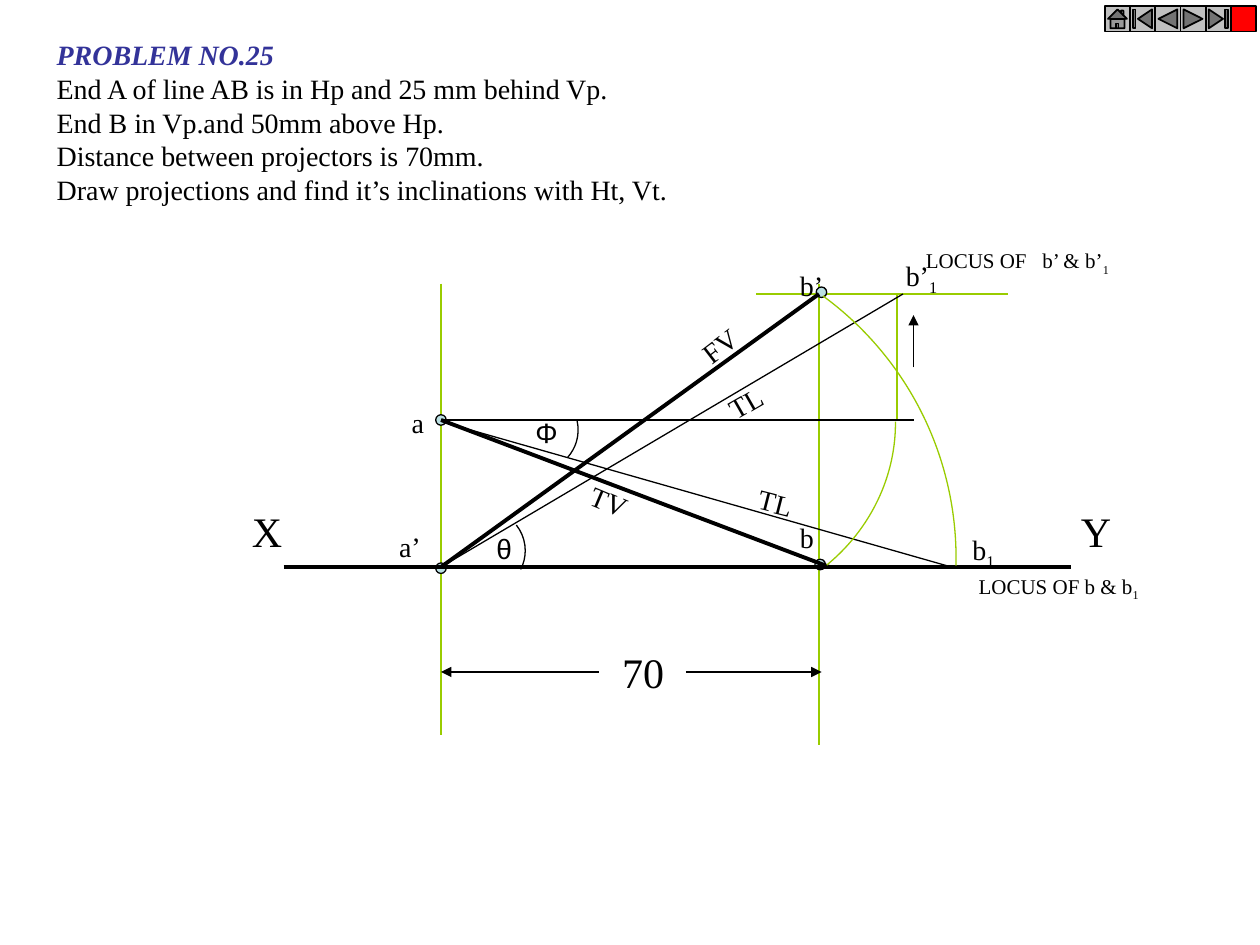
from dataclasses import dataclass

from lxml.etree import SubElement
from pptx import Presentation
from pptx.dml.color import RGBColor
from pptx.enum.shapes import MSO_CONNECTOR, MSO_SHAPE
from pptx.enum.text import MSO_ANCHOR, MSO_AUTO_SIZE, PP_ALIGN
from pptx.oxml.ns import qn
from pptx.util import Pt


@dataclass(frozen=True)
class Theme:
    ink: RGBColor = RGBColor(0, 0, 0)
    head: RGBColor = RGBColor(0x33, 0x33, 0x99)
    guide: RGBColor = RGBColor(0x99, 0xCC, 0)
    dot: RGBColor = RGBColor(0xBB, 0xE0, 0xE3)
    key: RGBColor = RGBColor(0xC0, 0xC0, 0xC0)
    stop: RGBColor = RGBColor(0xFF, 0, 0)
    serif: str = "Times New Roman"
    sans: str = "Arial"
    big: float = 24
    mid: float = 16
    small: float = 12
    thin: float = 0.75
    edge: float = 1
    bold: float = 2.25


THEME = Theme()
TASK = (
    "End A of line AB is in Hp and 25 mm behind Vp.",
    "End B in Vp.and 50mm above Hp.",
    "Distance between projectors is 70mm.",
    "Draw projections and find it’s inclinations with Ht, Vt.",
)
AX, BX = 126, 342
XY, TOP, MID = 192, 36, 108
DIM = 252


def style(run, size, face=THEME.serif, color=THEME.ink):
    run.font.size = Pt(size)
    run.font.name = face
    run.font.color.rgb = color


def stroke(item, color, width):
    item.line.color.rgb = color
    item.line.width = Pt(width)


def line(shapes, box, ends, color=THEME.ink, width=THEME.thin, arrow=False):
    x, y = box[:2]
    x1, y1, x2, y2 = ends
    item = shapes.add_connector(
        MSO_CONNECTOR.STRAIGHT, Pt(x + x1), Pt(y + y1), Pt(x + x2), Pt(y + y2)
    )
    stroke(item, color, width)
    if arrow:
        SubElement(item.line._get_or_add_ln(), qn("a:tailEnd"), type="triangle")
    SubElement(item._element.spPr, qn("a:effectLst"))


def shape(shapes, kind, box, spot, fill=None, color=THEME.ink, width=THEME.thin):
    left, top, wide, high = spot
    item = shapes.add_shape(
        kind, Pt(box[0] + left), Pt(box[1] + top), Pt(wide), Pt(high)
    )
    item.shadow.inherit = False
    if fill is None:
        item.fill.background()
    else:
        item.fill.solid()
        item.fill.fore_color.rgb = fill
    stroke(item, color, width)
    return item


def arc(shapes, box, spot, start, end, turn=0, color=THEME.ink):
    item = shape(shapes, MSO_SHAPE.ARC, box, spot, color=color)
    item.adjustments[0] = start * 0.6
    item.adjustments[1] = end * 0.6
    item.rotation = turn


def label(shapes, box, spot, text, size=THEME.mid, sub="", turn=0, face=THEME.serif):
    left, top, wide, high = spot
    item = shapes.add_textbox(
        Pt(box[0] + left), Pt(box[1] + top), Pt(wide), Pt(high)
    )
    item.rotation = turn
    item.text_frame.word_wrap = bool(turn)
    item.text_frame.auto_size = MSO_AUTO_SIZE.SHAPE_TO_FIT_TEXT
    item.text_frame.text = text
    para = item.text_frame.paragraphs[0]
    if sub:
        low = para.add_run()
        low.text = sub
        low._r.get_or_add_rPr().set("baseline", "-25000")
    for run in para.runs:
        style(run, size, face)


def fill_holder(holder, box, text, color, strong=False):
    holder.left, holder.top, holder.width, holder.height = map(Pt, box)
    frame = holder.text_frame
    frame.text = text
    frame.word_wrap = True
    frame.auto_size = MSO_AUTO_SIZE.NONE
    frame.vertical_anchor = MSO_ANCHOR.TOP
    for para in frame.paragraphs:
        para.alignment = PP_ALIGN.LEFT
        para.space_before = Pt(0)
        props = para._p.get_or_add_pPr()
        props.set("marL", "0")
        props.set("indent", "0")
        SubElement(props, qn("a:buNone"))
        for run in para.runs:
            style(run, THEME.mid, color=color)
            run.font.bold = run.font.italic = strong


def add_task(slide, box):
    x, y, wide, high = box
    step = 19.3
    fill_holder(slide.shapes.title, (x, y, wide, 26.6), "PROBLEM NO.25", THEME.head, True)
    fill_holder(
        slide.placeholders[1], (x, y + step, wide, high - step), "\n".join(TASK), THEME.ink
    )


def add_lines(shapes, box):
    for ends in (
        (AX, 30, AX, 288),
        (BX, 30, BX, 294),
        (306, TOP, 450, TOP),
        (386.6, MID, 386.6, TOP),
    ):
        line(shapes, box, ends, THEME.guide)
    for x, y in ((AX, MID), (AX, 192.7), (342.7, 190.6), (343.4, 35)):
        shape(shapes, MSO_SHAPE.OVAL, box, (x - 3, y - 3, 6, 6), THEME.dot)
    for ends in ((36, XY, 486, XY), (AX, XY, BX, TOP), (AX, MID, 348, XY)):
        line(shapes, box, ends, width=THEME.bold)
    for ends in ((390, TOP, AX, XY), (132, 110.6, 420, 192.7), (AX, MID, 396, MID)):
        line(shapes, box, ends)
    line(shapes, box, (396, 78, 396, 48), arrow=True)


def add_arcs(shapes, box):
    arc(shapes, box, (181.4, 17.8, 206.6, 195.1), 35.6, 90, -39.3, THEME.guide)
    arc(shapes, box, (48.2, 1.2, 372.2, 371.5), 306.3, 1.3, color=THEME.guide)
    arc(shapes, box, (126, 158.9, 48.2, 47.5), 322.4, 26.6)
    arc(shapes, box, (156.2, 89.8, 48.2, 47.5), 331.2, 24.5, 16.8)


def add_names(shapes, box):
    for x, text in ((10.8, "X"), (484.6, "Y")):
        label(shapes, box, (x, 153.1, 31.7, 36), text, THEME.big)
    for x, y, wide, text, sub in (
        (102.2, 96.2, 21.6, "a", ""),
        (95, 166.8, 26.6, "a’", ""),
        (324, 161.8, 22.3, "b", ""),
        (324, 17.8, 27.8, "b’", ""),
        (384.5, 12, 32.4, "b’", "1"),
        (422.6, 169, 27.8, "b", "1"),
    ):
        label(shapes, box, (x, y, wide, 29.5 if sub else 26.6), text, sub=sub)
    for x, y, text, turn in (
        (203.8, 143.8, "TV", 22.9),
        (266.4, 48, "FV", -37.4),
        (282.2, 81.1, "TL", -29.9),
        (300.2, 143.8, "TL", 14.3),
    ):
        label(shapes, box, (x, y, 49, 26.6), text, turn=turn)
    for x, y, wide, text in ((150.5, 168.2, 22.3, "θ"), (172.8, 102, 26.6, "Φ")):
        label(shapes, box, (x, y, wide, 26.6), text, face=THEME.sans)
    for x, y, wide, text in (
        (396, 6.2, 119.5, "LOCUS OF   b’ & b’"),
        (426.2, XY, 105.8, "LOCUS OF b & b"),
    ):
        label(shapes, box, (x, y, wide, 23.8), text, THEME.small, "1")


def add_span(shapes, box):
    for ends in ((266, DIM, 343.5, DIM), (216, DIM, AX, DIM)):
        line(shapes, box, ends, arrow=True)
    label(shapes, box, (222.5, DIM - 18, 38.2, 36), "70", THEME.big)


def add_figure(slide, box):
    add_lines(slide.shapes, box)
    add_arcs(slide.shapes, box)
    add_names(slide.shapes, box)
    add_span(slide.shapes.add_group_shape().shapes, box)


def add_keys(slide, box):
    kinds = (
        MSO_SHAPE.ACTION_BUTTON_HOME,
        MSO_SHAPE.ACTION_BUTTON_BEGINNING,
        MSO_SHAPE.ACTION_BUTTON_BACK_OR_PREVIOUS,
        MSO_SHAPE.ACTION_BUTTON_FORWARD_OR_NEXT,
        MSO_SHAPE.ACTION_BUTTON_END,
        MSO_SHAPE.ACTION_BUTTON_CUSTOM,
    )
    shapes = slide.shapes.add_group_shape().shapes
    step = box[2] / len(kinds)
    for i, kind in enumerate(kinds):
        fill = THEME.stop if kind == kinds[-1] else THEME.key
        shape(shapes, kind, box, (i * step, 0, step, box[3]), fill, width=THEME.edge)


def main():
    deck = Presentation()
    deck.slide_width, deck.slide_height = Pt(720), Pt(540)
    slide = deck.slides.add_slide(deck.slide_layouts[1])
    add_task(slide, (25.2, 18, 364.3, 103.7))
    add_figure(slide, (126, 132, 540, 300))
    add_keys(slide, (631.4, 3.6, 86.4, 14.4))
    deck.save("out.pptx")


if __name__ == "__main__":
    main()
